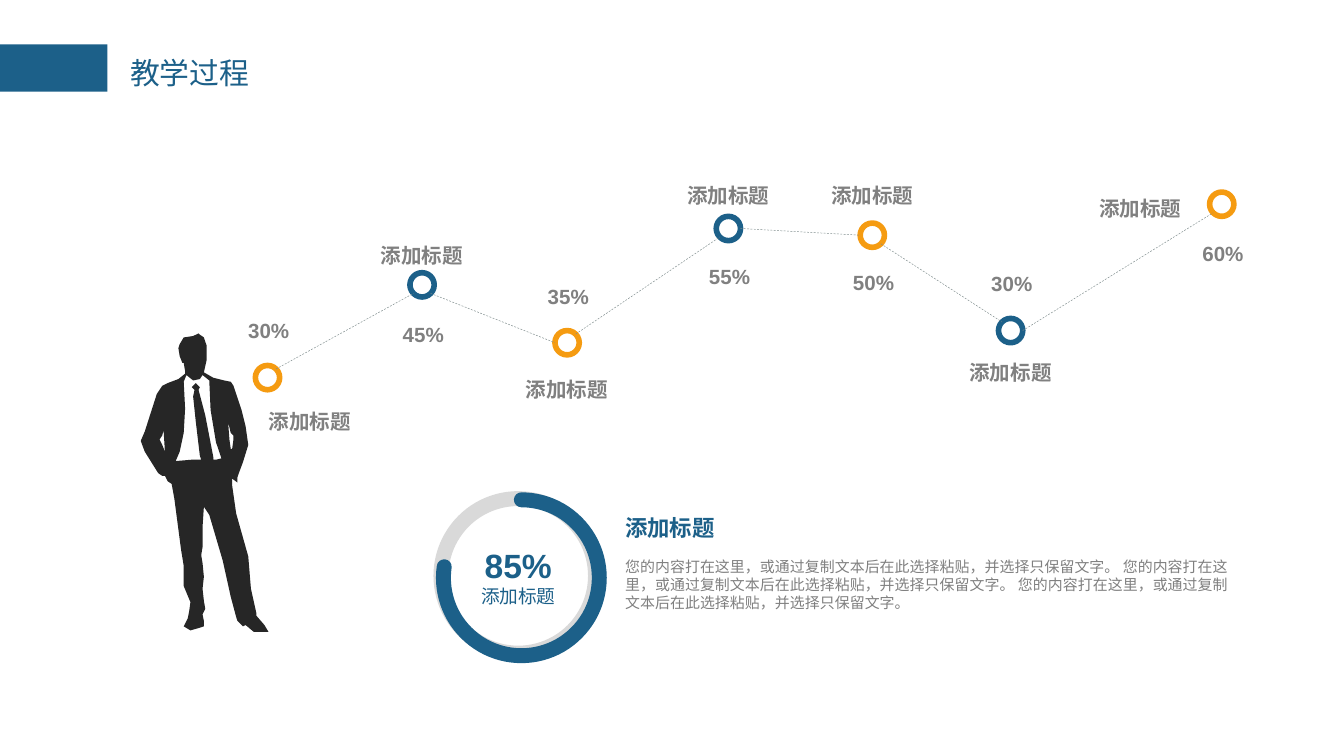
from itertools import cycle
from math import cos, radians, sin

from lxml.etree import SubElement
from pptx import Presentation
from pptx.dml.color import RGBColor
from pptx.enum.dml import MSO_LINE as Dash
from pptx.enum.shapes import MSO_CONNECTOR as Link, MSO_SHAPE as Kind
from pptx.enum.text import MSO_ANCHOR as Anchor, PP_ALIGN as Align
from pptx.oxml.ns import qn
from pptx.util import Pt

BLUE, AMBER, GREY = "1C6089", "F59B11", "808080"
LABEL = "添加标题"
BODY = " ".join(["您的内容打在这里，或通过复制文本后在此选择粘贴，并选择只保留文字。"] * 3)

STOPS = [
    (13.3, 112.3, "30%", -25, 22.7, 23.8),
    (96.1, 62.6, "45%", 26.5, 0, -15.8),
    (173.8, 93.6, "35%", -24.5, 0, 25.2),
    (260.2, 32.4, "55%", 26, 0, -17.3),
    (337.3, 36, "50%", 25.2, 0, -20.9),
    (411.4, 87.1, "30%", -25.2, 0, 22.3),
    (524.5, 19.4, "60%", 26.6, -43.6, 2.2),
]
LINKS = [(-45, 135), (45, 180), (-45, 135), (0, 180), (45, 225), (0, 135)]

BODY_EDGE = [
    (92, 217), (86, 210), (86, 208), (82, 190), (80, 166), (71, 134), (69, 120),
    (68, 113), (68, 108), (72, 111), (72, 107), (73, 104), (76, 96), (80, 83),
    (78, 69), (75, 57), (72, 48), (69, 39), (67, 36), (62, 35), (54, 33),
    (47, 29), (49, 20), (49, 16), (49, 9), (47, 3), (44, 1), (43, 0), (39, 2),
    (32, 3), (29, 8), (28, 11), (29, 17), (31, 22), (32, 22), (33, 28), (33, 30),
    (28, 34), (20, 37), (16, 39), (12, 45), (3, 73), (0, 80), (3, 88), (13, 104),
    (16, 106), (18, 106), (20, 110), (23, 112), (25, 123), (30, 161), (32, 173),
    (32, 188), (37, 200), (36, 207), (35, 212), (32, 218), (37, 221), (44, 219),
    (47, 218), (47, 214), (46, 209), (48, 205), (47, 199), (46, 190), (47, 181),
    (46, 171), (45, 165), (46, 159), (46, 144), (47, 129), (51, 135), (61, 169),
    (67, 196), (71, 211), (72, 214), (76, 218), (78, 217), (84, 222), (95, 222),
]
GAPS = [
    [(18, 88), (16, 83), (14, 79), (16, 76), (17, 72)],
    [(56, 94), (54, 94), (54, 92), (48, 61), (43, 42), (44, 40), (41, 37),
     (38, 40), (40, 42), (39, 47), (41, 66), (44, 91), (45, 94), (38, 94),
     (26, 95), (29, 88), (32, 74), (33, 56), (32, 36), (34, 31), (39, 35),
     (44, 34), (46, 31), (51, 35), (52, 57), (56, 81), (60, 93)],
    [(67, 86), (66, 79), (65, 66), (67, 74), (69, 76), (69, 79), (68, 86)],
]


def color(code):
    return RGBColor.from_string(code)


def write(para, text, size=11, tint=GREY, bold=False, face="Arial", align=None, gap=0):
    run = para.add_run()
    run.text = text
    font = run.font
    font.size, font.bold, font.name = Pt(size), bold, face
    font.color.rgb = color(tint)
    para.alignment = align
    if gap:
        para.space_before = Pt(gap)


def frame(slide, x, y, w, h, wrap=False, side=5.1):
    tf = slide.shapes.add_textbox(Pt(x), Pt(y), Pt(w), Pt(h)).text_frame
    tf.word_wrap = wrap
    tf.margin_left = tf.margin_right = Pt(side)
    tf.margin_top = tf.margin_bottom = Pt(2.6)
    return tf


def shape(slide, kind, x, y, w, h, fill=None, line=None, width=3):
    item = slide.shapes.add_shape(kind, Pt(x), Pt(y), Pt(w), Pt(h))
    item.shadow.inherit = False
    if fill:
        item.fill.solid()
        item.fill.fore_color.rgb = color(fill)
    else:
        item.fill.background()
    if line:
        item.line.color.rgb = color(line)
        item.line.width = Pt(width)
    else:
        item.line.fill.background()
    return item


def header(slide, x, y):
    shape(slide, Kind.RECTANGLE, x, y, 57.6, 25.4, fill=BLUE)
    tf = frame(slide, x + 64, y + 2.9, 75.6, 25.2, side=5.7)
    write(tf.paragraphs[0], "教学过程", size=16, tint=BLUE, face="Calibri")


def figure(slide, x, y):
    form = slide.shapes.build_freeform(*BODY_EDGE[0], scale=Pt(0.72))
    form.add_line_segments(BODY_EDGE[1:])
    for ring in GAPS:
        form.move_to(*ring[0])
        form.add_line_segments(ring[1:])
    man = form.convert_to_shape(Pt(x), Pt(y))
    man.shadow.inherit = False
    man.fill.solid()
    man.fill.fore_color.rgb = color("262626")
    man.line.fill.background()


def dotted(slide, ends):
    line = slide.shapes.add_connector(Link.STRAIGHT, *[Pt(v) for v in ends])
    line.line.color.rgb = color("7F8C8D")
    line.line.width = Pt(0.25)
    line.line.dash_style = Dash.DASH
    SubElement(line._element.spPr, qn("a:effectLst"))


def trend(slide, x, y, rad=6.5):
    for (px, py, rate, rise, dx, dy), tint in zip(STOPS, cycle([AMBER, BLUE])):
        cx, cy = x + px, y + py
        shape(slide, Kind.OVAL, cx - rad, cy - rad, 2 * rad, 2 * rad, line=tint)
        for text, tx, ty, w in ((rate, 0.7, rise, 33), (LABEL, dx, dy, 55.4)):
            tf = frame(slide, cx + tx - w / 2, cy + ty - 9.4, w, 18.7)
            write(tf.paragraphs[0], text, bold=True, align=Align.CENTER)
    for start, end, turns in zip(STOPS, STOPS[1:], LINKS):
        ends = []
        for stop, turn in zip((start, end), turns):
            ends.append(x + stop[0] + rad * cos(radians(turn)))
            ends.append(y + stop[1] + rad * sin(radians(turn)))
        dotted(slide, ends)


def gauge(slide, x, y):
    ring = shape(slide, Kind.OVAL, x, y, 82.8, 82.8, line="D9D9D9", width=8)
    tf = ring.text_frame
    tf.word_wrap = False
    tf.vertical_anchor = Anchor.MIDDLE
    write(tf.paragraphs[0], "85%", size=18, tint=BLUE, bold=True, align=Align.CENTER)
    write(tf.add_paragraph(), LABEL, size=10, tint=BLUE, align=Align.CENTER)
    arc = shape(slide, Kind.ARC, x + 1.4, y + 0.7, 83.5, 83.5, line=BLUE, width=8)
    arc.adjustments[0] = 162
    arc.adjustments[1] = 112.875
    arc.line._get_or_add_ln().set("cap", "rnd")


def note(slide, x, y):
    tf = frame(slide, x, y, 336.2, 59, wrap=True)
    write(tf.paragraphs[0], LABEL, size=12, tint=BLUE, bold=True)
    write(tf.add_paragraph(), BODY, size=8, gap=9)


def main():
    deck = Presentation()
    deck.slide_width, deck.slide_height = Pt(720), Pt(405)
    slide = deck.slides.add_slide(deck.slide_layouts[6])
    header(slide, 0, 23.8)
    figure(slide, 75.4, 178.6)
    trend(slide, 130, 90)
    gauge(slide, 236.2, 267.1)
    note(slide, 329.8, 272.9)
    deck.save("out.pptx")


if __name__ == "__main__":
    main()
